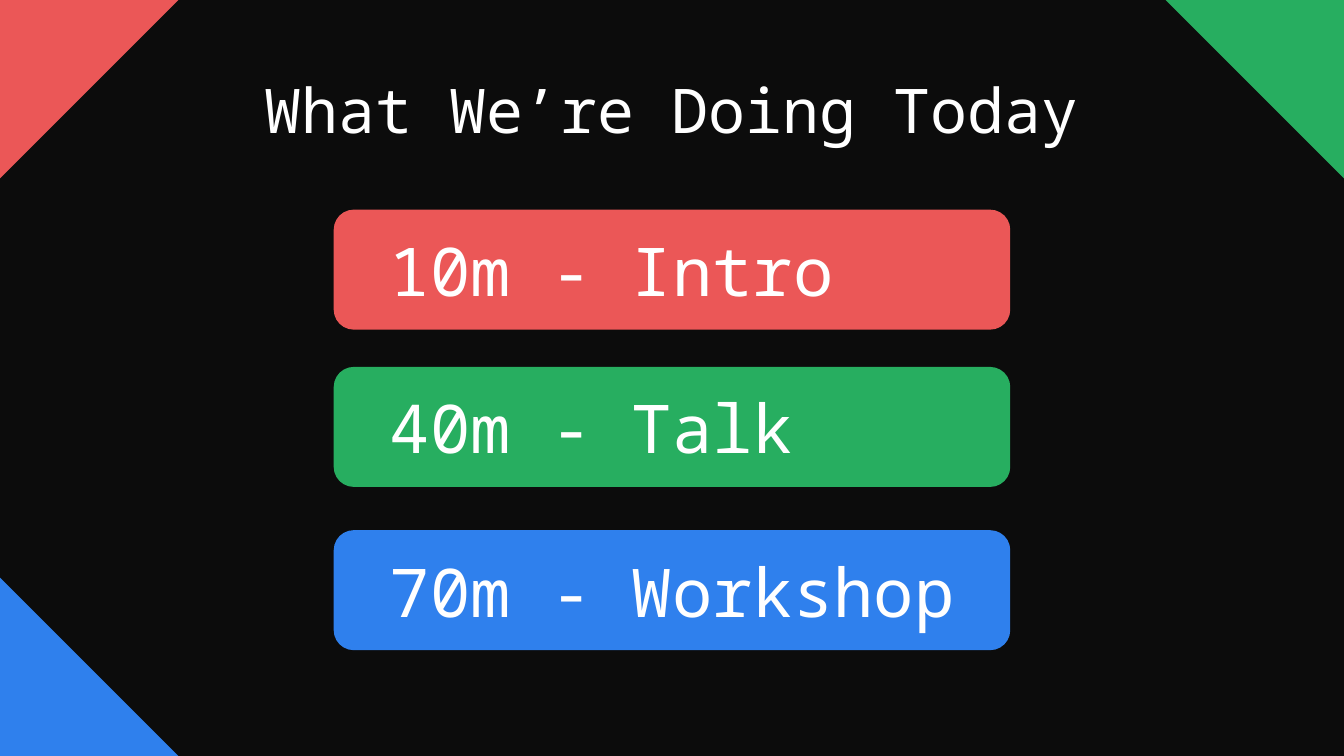
"""Build the agenda slide with three timed sessions."""
from pptx import Presentation
from pptx.dml.color import RGBColor
from pptx.enum.shapes import MSO_SHAPE as Shape
from pptx.enum.text import MSO_ANCHOR as Anchor, PP_ALIGN as Align
from pptx.util import Inches, Pt

COLORS = {
    "background": "0C0C0C",
    "text": "FFFFFF",
    "red": "EB5757",
    "green": "27AE60",
    "blue": "2F80ED",
}
FONT = "Noto Sans Mono"
WIDTH, HEIGHT = 13.33, 7.5
CORNER = 1.77
BAR_WIDTH, BAR_HEIGHT = 6.71, 1.19

TITLE = "What We’re Doing Today"
CORNERS = [
    ("blue", 0, HEIGHT - CORNER, 0),
    ("green", WIDTH - CORNER, 0, 180),
    ("red", 0, 0, 90),
]
SESSIONS = [
    ("10m - Intro", "red", 2.08),
    ("40m - Talk", "green", 3.64),
    ("70m - Workshop", "blue", 5.26),
]


def paint(fill, color):
    fill.solid()
    fill.fore_color.rgb = RGBColor.from_string(COLORS[color])


def add_block(slide, kind, color, left, top, width, height):
    block = slide.shapes.add_shape(
        kind, Inches(left), Inches(top), Inches(width), Inches(height))
    paint(block.fill, color)
    block.line.fill.background()
    block.shadow.inherit = False
    return block


def write(shape, text, size, align):
    frame = shape.text_frame
    frame.word_wrap = True
    frame.vertical_anchor = Anchor.MIDDLE
    para = frame.paragraphs[0]
    para.text = text
    para.alignment = align
    para.font.name = FONT
    para.font.size = Pt(size)
    para.font.color.rgb = RGBColor.from_string(COLORS["text"])
    return frame


def main():
    deck = Presentation()
    deck.slide_width, deck.slide_height = Inches(WIDTH), Inches(HEIGHT)
    slide = deck.slides.add_slide(deck.slide_layouts[5])
    paint(slide.background.fill, "background")

    for color, left, top, rotation in CORNERS:
        corner = add_block(slide, Shape.RIGHT_TRIANGLE, color, left, top, CORNER, CORNER)
        corner.rotation = rotation

    title = slide.shapes.title
    title.left, title.top = Inches(CORNER), Inches(0.4)
    title.width, title.height = Inches(WIDTH - 2 * CORNER), Inches(1.45)
    frame = write(title, TITLE, 44, Align.CENTER)
    frame.paragraphs[0].line_spacing = 0.9

    for text, color, top in SESSIONS:
        left = (WIDTH - BAR_WIDTH) / 2
        bar = add_block(slide, Shape.ROUNDED_RECTANGLE, color, left, top, BAR_WIDTH, BAR_HEIGHT)
        frame = write(bar, text, 48, Align.LEFT)
        frame.margin_left = Inches(0.5)

    deck.save("out.pptx")


if __name__ == "__main__":
    main()
